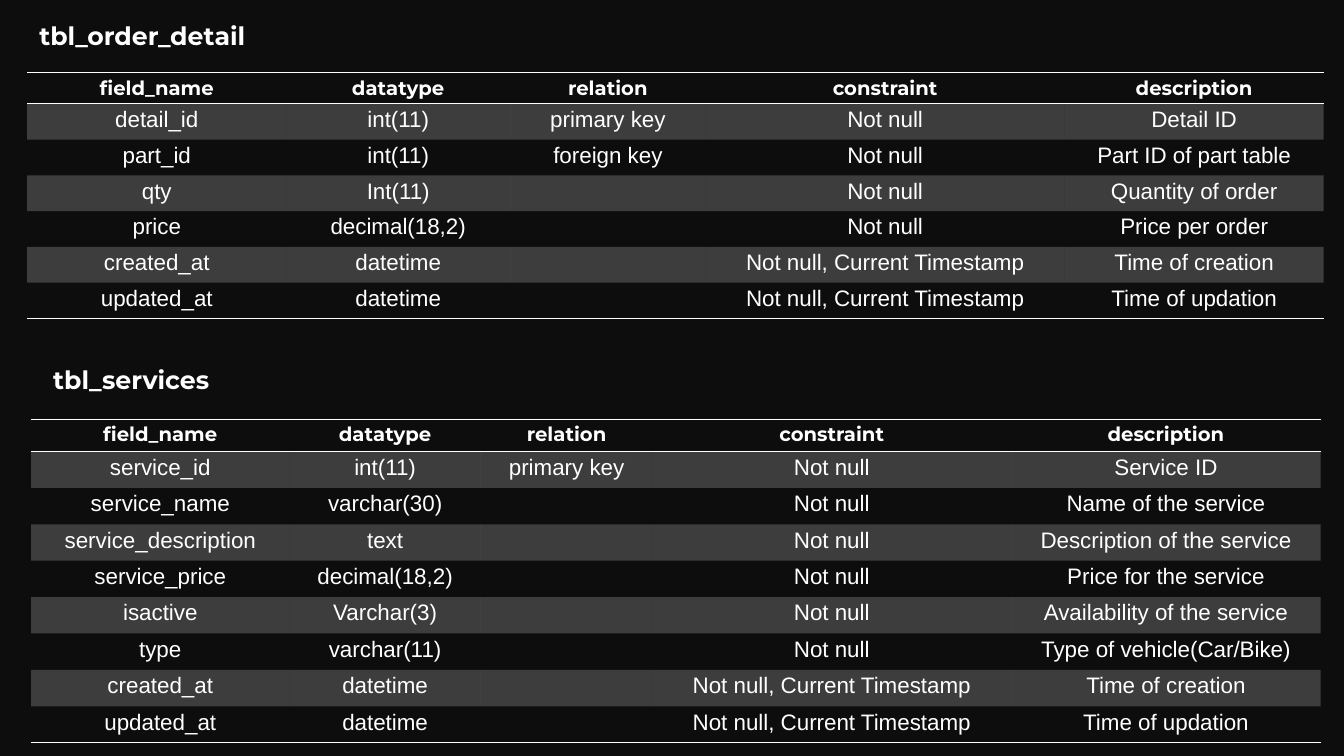
from lxml import etree
from pptx import Presentation
from pptx.dml.color import RGBColor
from pptx.enum.text import MSO_ANCHOR, MSO_AUTO_SIZE, PP_ALIGN
from pptx.oxml.ns import qn
from pptx.util import Inches, Pt

LEFT, CENTER = PP_ALIGN.LEFT, PP_ALIGN.CENTER
TOP, MIDDLE = MSO_ANCHOR.TOP, MSO_ANCHOR.MIDDLE
FIXED = MSO_AUTO_SIZE.NONE
COLORS = {"back": "0D0D0D", "ink": "FFFFFF"}
PLAIN = "{2D5ABB26-0587-4C30-8999-92F81FD0307C}"  # table style without grid
BAND_ALPHA = "20000"
INK = RGBColor.from_string(COLORS["ink"])

TITLE = {"name": "Montserrat", "size": Pt(18), "bold": True}
HEAD = {"name": "Montserrat", "size": Pt(14), "bold": True}
BODY = {"name": "Arial", "size": Pt(16), "bold": False}
INSETS = {"margin_left": Inches(0.07), "margin_right": Inches(0.07),
          "margin_top": 0, "margin_bottom": 0, "vertical_anchor": TOP}
PARA = {"alignment": CENTER, "line_spacing": 1.15, "space_after": Pt(10)}

FIELDS = ["field_name", "datatype", "relation", "constraint", "description"]
STAMP = "Not null, Current Timestamp"
TIMES = [
    ["created_at", "datetime", "", STAMP, "Time of creation"],
    ["updated_at", "datetime", "", STAMP, "Time of updation"],
]
ORDERS = [
    ["detail_id", "int(11)", "primary key", "Not null", "Detail ID"],
    ["part_id", "int(11)", "foreign key", "Not null", "Part ID of part table"],
    ["qty", "Int(11)", "", "Not null", "Quantity of order"],
    ["price", "decimal(18,2)", "", "Not null", "Price per order"],
]
SERVICES = [
    ["service_id", "int(11)", "primary key", "Not null", "Service ID"],
    ["service_name", "varchar(30)", "", "Not null", "Name of the service"],
    ["service_description", "text", "", "Not null", "Description of the service"],
    ["service_price", "decimal(18,2)", "", "Not null", "Price for the service"],
    ["isactive", "Varchar(3)", "", "Not null", "Availability of the service"],
    ["type", "varchar(11)", "", "Not null", "Type of vehicle(Car/Bike)"],
]
BLOCKS = [
    {"title": "tbl_order_detail", "spot": (0.29, 0.15), "rows": ORDERS,
     "box": (0.27, 0.72, 12.85, 2.44), "head": 0.31,
     "cols": [2.57, 2.22, 1.94, 3.56, 2.57]},
    {"title": "tbl_services", "spot": (0.43, 3.56), "rows": SERVICES,
     "box": (0.31, 4.16, 12.79, 3.21), "head": 0.32,
     "cols": [2.56, 1.9, 1.7, 3.56, 3.07]},
]


def write(para, text, font):
    run = para.add_run()
    run.text = text
    for key, value in font.items():
        setattr(run.font, key, value)
    run.font.color.rgb = INK


def rule(cell, side):
    """Draw a 1 pt border on one side of a cell: T or B."""
    line = etree.SubElement(cell._tc.get_or_add_tcPr(), qn("a:ln" + side), w=str(Pt(1)))
    fill = etree.SubElement(line, qn("a:solidFill"))
    etree.SubElement(fill, qn("a:srgbClr"), val=COLORS["ink"])


deck = Presentation()
deck.slide_width, deck.slide_height = Inches(13.33), Inches(7.5)
slide = deck.slides.add_slide(deck.slide_layouts[5])
slide.background.fill.solid()
slide.background.fill.fore_color.rgb = RGBColor.from_string(COLORS["back"])

for num, block in enumerate(BLOCKS):
    label = slide.shapes.title if num == 0 else slide.shapes.add_textbox(0, 0, 0, 0)
    label.left, label.top = [Inches(v) for v in block["spot"]]
    label.width, label.height = Inches(2.4), Inches(0.4)
    frame = label.text_frame
    frame.auto_size, frame.word_wrap, frame.vertical_anchor = FIXED, False, MIDDLE
    frame.paragraphs[0].alignment = LEFT
    write(frame.paragraphs[0], block["title"], TITLE)

    rows = [FIELDS] + block["rows"] + TIMES
    last = len(rows) - 1
    grid = slide.shapes.add_table(len(rows), len(FIELDS), *[Inches(v) for v in block["box"]])
    for style in grid._element.iter(qn("a:tableStyleId")):
        style.text = PLAIN
    table = grid.table
    for col, width in zip(table.columns, block["cols"]):
        col.width = Inches(width)
    step = (block["box"][3] - block["head"]) / last

    for r, row in enumerate(rows):
        table.rows[r].height = Inches(step if r else block["head"])
        for c, text in enumerate(row):
            cell = table.cell(r, c)
            for key, value in INSETS.items():
                setattr(cell, key, value)
            if r == 0:
                rule(cell, "T")
            if r in (0, last):
                rule(cell, "B")
            if r % 2:
                cell.fill.solid()
                cell.fill.fore_color.rgb = INK
                for tint in cell._tc.tcPr.iter(qn("a:srgbClr")):
                    etree.SubElement(tint, qn("a:alpha"), val=BAND_ALPHA)
            else:
                cell.fill.background()
            para = cell.text_frame.paragraphs[0]
            for key, value in PARA.items():
                setattr(para, key, value)
            if text:
                write(para, text, BODY if r else HEAD)

deck.save("out.pptx")
